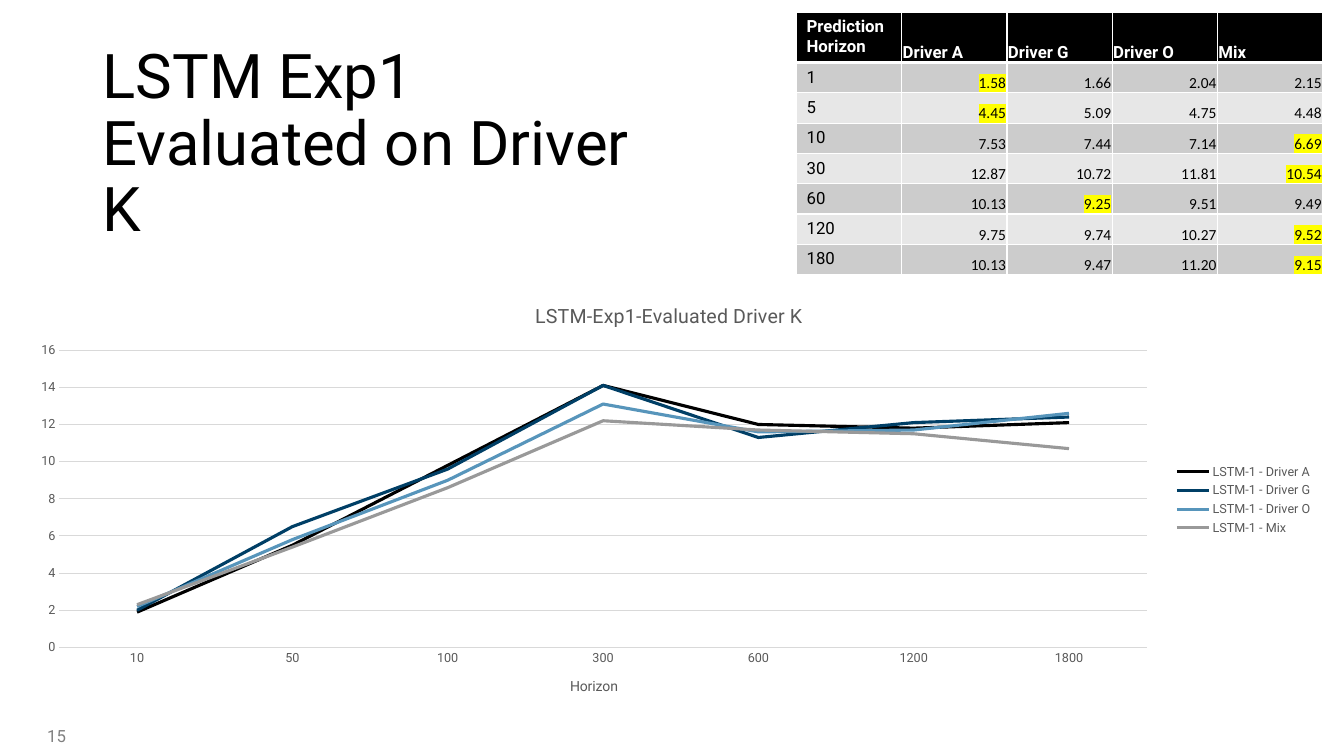
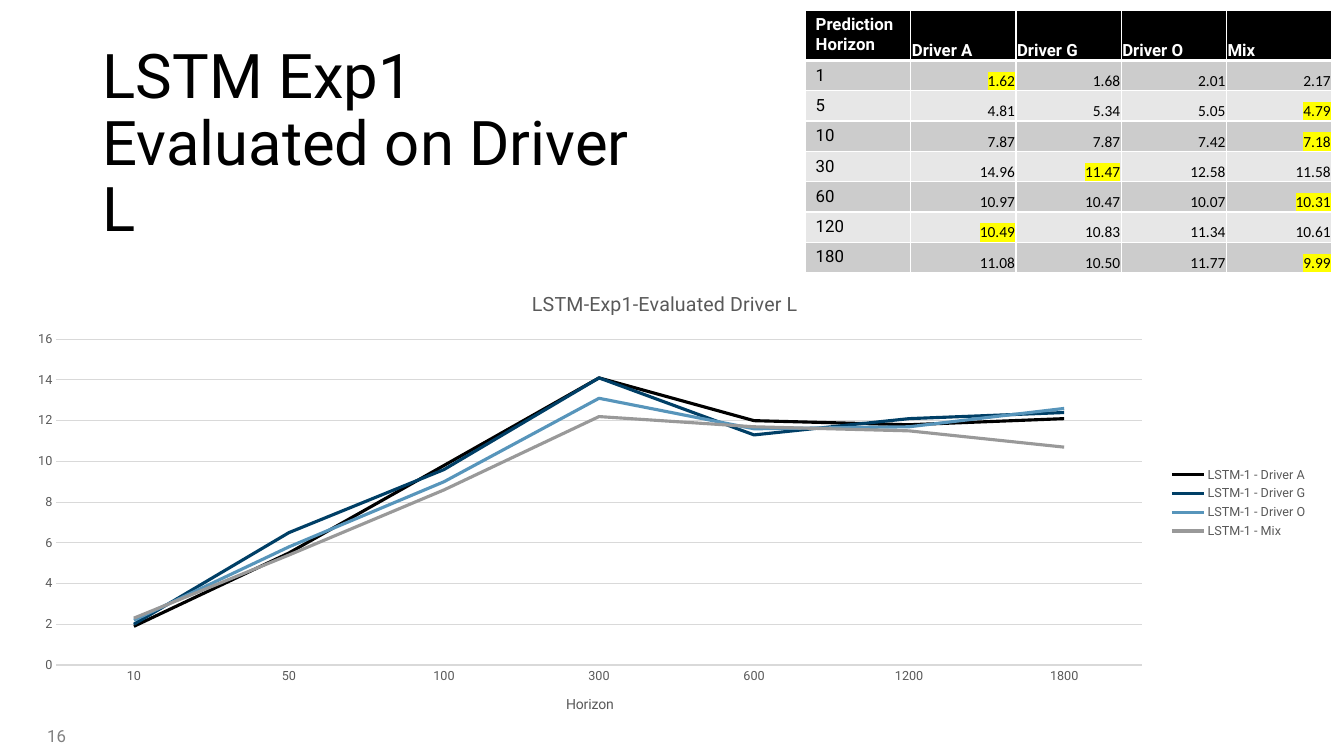
from dataclasses import dataclass

from lxml.etree import SubElement
from pptx import Presentation
from pptx.chart.data import CategoryChartData
from pptx.dml.color import RGBColor
from pptx.enum.chart import XL_CHART_TYPE as ChartType
from pptx.enum.chart import XL_LEGEND_POSITION as LegendPosition
from pptx.enum.chart import XL_MARKER_STYLE as Marker
from pptx.enum.chart import XL_TICK_MARK as TickMark
from pptx.enum.text import MSO_ANCHOR as Anchor
from pptx.enum.text import PP_ALIGN as Align
from pptx.oxml import parse_xml
from pptx.oxml.ns import nsdecls, qn
from pptx.util import Pt

EMU_PER_PX = 9144


@dataclass(frozen=True)
class Theme:
    font: str = "Roboto"
    value_font: str = "Calibri"
    ink: str = "000000"
    paper: str = "FFFFFF"
    page_grey: str = "808080"
    chart_grey: str = "595959"
    grid: str = "D9D9D9"
    bands: tuple = ("CCCCCC", "E7E7E7")
    best: str = "FFFF00"
    lines: tuple = ("000000", "003F66", "5795BB", "999999")
    title_size: int = 44
    table_size: int = 12
    value_size: int = 11
    page_size: int = 12
    chart_title_size: int = 14
    axis_title_size: int = 10
    tick_size: int = 9
    grid_width: float = 0.75
    line_width: float = 2.25


THEME = Theme()

SLIDE_SIZE = (1333, 750)
TITLE_BOX = (92, 40, 585, 145)
PAGE_BOX = (37, 715, 71, 30)
HEADER_HEIGHT = 48

DRIVERS = ("Driver A", "Driver G", "Driver O", "Mix")
TABLE_HORIZONS = (1, 5, 10, 30, 60, 120, 180)
CHART_HORIZONS = ("10", "50", "100", "300", "600", "1200", "1800")
CHART_ERRORS = (
    (1.9, 5.5, 9.8, 14.1, 12, 11.8, 12.1),
    (2, 6.5, 9.6, 14.1, 11.3, 12.1, 12.4),
    (2.2, 5.8, 9, 13.1, 11.6, 11.7, 12.6),
    (2.3, 5.4, 8.6, 12.2, 11.7, 11.5, 10.7),
)


@dataclass(frozen=True)
class Evaluation:
    driver: str
    page: int
    table_box: tuple
    chart_box: tuple
    errors: tuple
    best_columns: tuple


EVALUATIONS = (
    Evaluation(
        "K", 15, (790, 12, 522, 255), (15, 282, 1297, 428),
        (
            (1.58, 1.66, 2.04, 2.15),
            (4.45, 5.09, 4.75, 4.48),
            (7.53, 7.44, 7.14, 6.69),
            (12.87, 10.72, 11.81, 10.54),
            (10.13, 9.25, 9.51, 9.49),
            (9.75, 9.74, 10.27, 9.52),
            (10.13, 9.47, 11.20, 9.15),
        ),
        (0, 0, 3, 3, 1, 3, 3),
    ),
    Evaluation(
        "L", 16, (799, 10, 522, 259), (12, 270, 1295, 458),
        (
            (1.62, 1.68, 2.01, 2.17),
            (4.81, 5.34, 5.05, 4.79),
            (7.87, 7.87, 7.42, 7.18),
            (14.96, 11.47, 12.58, 11.58),
            (10.97, 10.47, 10.07, 10.31),
            (10.49, 10.83, 11.34, 10.61),
            (11.08, 10.50, 11.77, 9.99),
        ),
        (0, 3, 3, 1, 3, 0, 3),
    ),
)


def px(length):
    return length * EMU_PER_PX


def rgb(colour):
    return RGBColor.from_string(colour)


def style_font(font, size, colour, name=THEME.font, bold=False):
    font.size = Pt(size)
    font.bold = bold
    font.color.rgb = rgb(colour)
    font.name = name


def add_run(paragraph, text, size, colour, name=THEME.font, bold=False, highlight=None):
    run = paragraph.add_run()
    run.text = text
    style_font(run.font, size, colour, name, bold)
    if highlight:
        mark = parse_xml(
            f'<a:highlight {nsdecls("a")}><a:srgbClr val="{highlight}"/></a:highlight>'
        )
        run.font._element.find(qn("a:solidFill")).addnext(mark)


def add_label(slide, box, text, size, colour, anchor, line_spacing=None):
    frame = slide.shapes.add_textbox(*map(px, box)).text_frame
    frame.word_wrap = True
    frame.vertical_anchor = anchor
    paragraph = frame.paragraphs[0]
    paragraph.line_spacing = line_spacing
    add_run(paragraph, text, size, colour)


def rule_cell(cell, top=1, bottom=1):
    properties = cell._tc.get_or_add_tcPr()
    sides = (("lnL", 1), ("lnR", 1), ("lnT", top), ("lnB", bottom))
    for position, (side, width) in enumerate(sides):
        line = parse_xml(f'<a:{side} {nsdecls("a")} w="{Pt(width)}"/>')
        fill = SubElement(line, qn("a:solidFill"))
        SubElement(fill, qn("a:srgbClr"), val=THEME.paper)
        properties.insert(position, line)


def fill_cell(cell, colour):
    cell.fill.solid()
    cell.fill.fore_color.rgb = rgb(colour)


def tighten_cell(cell):
    cell.vertical_anchor = Anchor.BOTTOM
    cell.margin_left = cell.margin_right = cell.margin_top = px(1)
    cell.margin_bottom = 0


def add_error_table(slide, box, errors, best_columns):
    left, top, width, height = box
    table = slide.shapes.add_table(
        len(errors) + 1, len(DRIVERS) + 1, *map(px, box)
    ).table
    for column in table.columns:
        column.width = px(width) // len(table.columns)
    for index, row in enumerate(table.rows):
        row.height = px((height - HEADER_HEIGHT) // len(errors) if index else HEADER_HEIGHT)

    for column, heading in enumerate(("Prediction Horizon", *DRIVERS)):
        cell = table.cell(0, column)
        fill_cell(cell, THEME.ink)
        rule_cell(cell, bottom=3)
        if column:
            tighten_cell(cell)
        add_run(cell.text_frame.paragraphs[0], heading,
                THEME.table_size, THEME.paper, bold=True)

    rows = zip(TABLE_HORIZONS, errors, best_columns)
    for row, (horizon, row_errors, best) in enumerate(rows, 1):
        for column in range(len(DRIVERS) + 1):
            cell = table.cell(row, column)
            fill_cell(cell, THEME.bands[(row - 1) % 2])
            rule_cell(cell, top=3 if row == 1 else 1)
            paragraph = cell.text_frame.paragraphs[0]
            if column == 0:
                add_run(paragraph, str(horizon), THEME.table_size, THEME.ink)
                continue
            tighten_cell(cell)
            paragraph.alignment = Align.RIGHT
            add_run(paragraph, f"{row_errors[column - 1]:.2f}",
                    THEME.value_size, THEME.ink, THEME.value_font,
                    highlight=THEME.best if column - 1 == best else None)


def style_axes(chart):
    horizon_axis, error_axis = chart.category_axis, chart.value_axis
    for axis in (horizon_axis, error_axis):
        axis.major_tick_mark = axis.minor_tick_mark = TickMark.NONE
        style_font(axis.tick_labels.font, THEME.tick_size, THEME.chart_grey)
    add_run(horizon_axis.axis_title.text_frame.paragraphs[0], "Horizon",
            THEME.axis_title_size, THEME.chart_grey)
    error_axis.minimum_scale = 0
    error_axis.maximum_scale = 16
    error_axis.major_unit = 2
    error_axis.has_major_gridlines = True
    error_axis.format.line.fill.background()
    for rule in (horizon_axis.format.line, error_axis.major_gridlines.format.line):
        rule.color.rgb = rgb(THEME.grid)
        rule.width = Pt(THEME.grid_width)


def add_error_chart(slide, box, heading):
    data = CategoryChartData()
    data.categories = CHART_HORIZONS
    for driver, errors in zip(DRIVERS, CHART_ERRORS):
        data.add_series(f"LSTM-1 - {driver}", errors)
    chart = slide.shapes.add_chart(ChartType.LINE, *map(px, box), data).chart
    style_font(chart.font, THEME.axis_title_size, THEME.ink)

    chart.has_title = True
    chart.chart_title.include_in_layout = False
    add_run(chart.chart_title.text_frame.paragraphs[0], heading,
            THEME.chart_title_size, THEME.chart_grey)

    chart.has_legend = True
    chart.legend.position = LegendPosition.RIGHT
    chart.legend.include_in_layout = False
    style_font(chart.legend.font, THEME.tick_size, THEME.chart_grey)

    style_axes(chart)
    chart.plots[0].vary_by_categories = False
    for series, colour in zip(chart.plots[0].series, THEME.lines):
        series.smooth = False
        series.marker.style = Marker.NONE
        series.format.line.color.rgb = rgb(colour)
        series.format.line.width = Pt(THEME.line_width)


def add_evaluation_slide(deck, evaluation):
    slide = deck.slides.add_slide(deck.slide_layouts[6])
    add_label(slide, PAGE_BOX, str(evaluation.page),
              THEME.page_size, THEME.page_grey, Anchor.MIDDLE)
    add_label(slide, TITLE_BOX, f"LSTM Exp1 Evaluated on Driver {evaluation.driver}",
              THEME.title_size, THEME.ink, Anchor.TOP, line_spacing=0.9)
    add_error_table(slide, evaluation.table_box, evaluation.errors, evaluation.best_columns)
    add_error_chart(slide, evaluation.chart_box,
                    f"LSTM-Exp1-Evaluated Driver {evaluation.driver}")


def main():
    deck = Presentation()
    deck.slide_width, deck.slide_height = map(px, SLIDE_SIZE)
    for evaluation in EVALUATIONS:
        add_evaluation_slide(deck, evaluation)
    deck.save("out.pptx")


if __name__ == "__main__":
    main()
